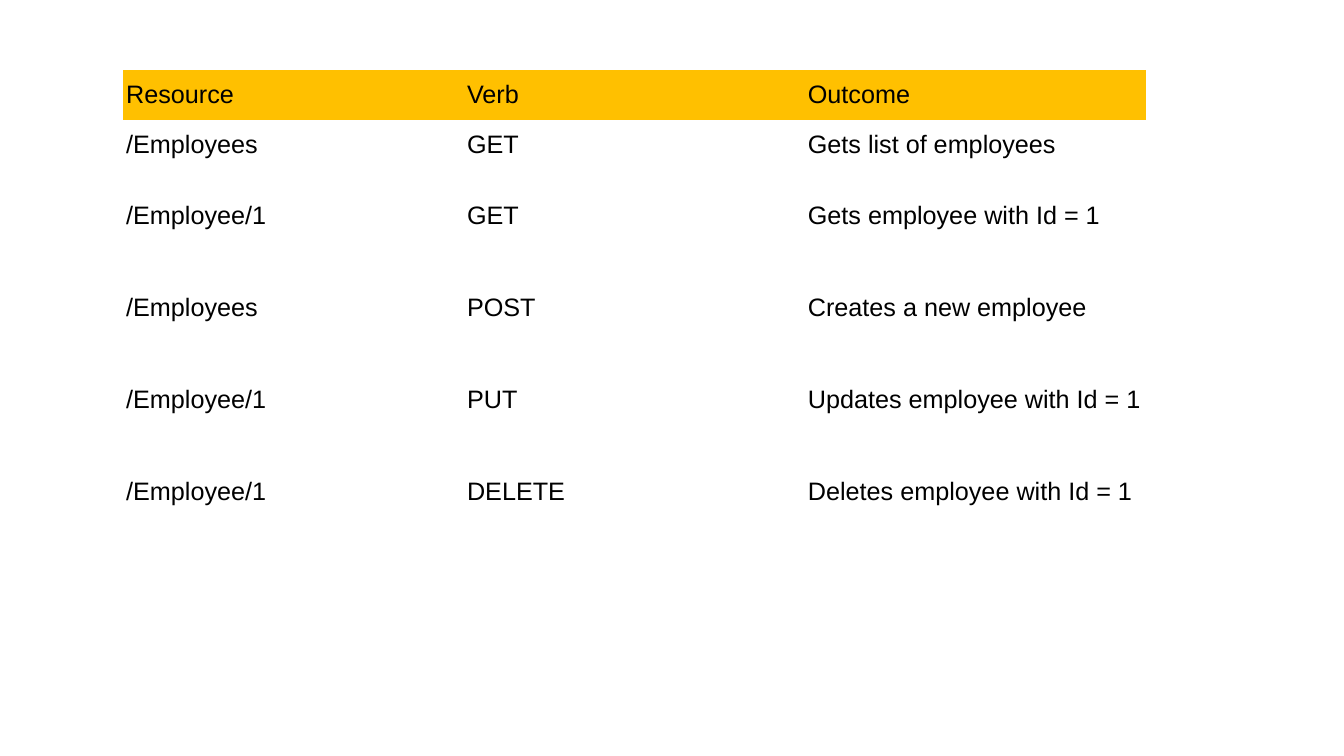
"""Build a slide with a table of REST resources, verbs and outcomes."""
from dataclasses import astuple, dataclass

from pptx import Presentation
from pptx.dml.color import RGBColor
from pptx.enum.text import MSO_ANCHOR as Anchor
from pptx.oxml.ns import qn
from pptx.table import Table, _Cell as Cell
from pptx.util import Cm, Pt

PLAIN = "{2D5ABB26-0587-4C30-8999-92F81FD0307C}"
LEFT, TOP, WIDTH, INSET = 3.1, 1.77, 8.59, 0.08
SHORT, TALL = 1.25, 2.32
GOLD, WHITE, BLACK = "FFC000", "FFFFFF", "000000"


@dataclass(frozen=True)
class Call:
    name: str
    verb: str
    result: str


HEAD = Call("Resource", "Verb", "Outcome")
CALLS = [
    Call("/Employees", "GET", "Gets list of employees"),
    Call("/Employee/1", "GET", "Gets employee with Id = 1"),
    Call("/Employees", "POST", "Creates a new employee"),
    Call("/Employee/1", "PUT", "Updates employee with Id = 1"),
    Call("/Employee/1", "DELETE", "Deletes employee with Id = 1"),
]


def color(code: str) -> RGBColor:
    return RGBColor.from_string(code)


def fill_cell(cell: Cell, text: str, back: str) -> None:
    cell.fill.solid()
    cell.fill.fore_color.rgb = color(back)
    cell.vertical_anchor = Anchor.MIDDLE
    cell.margin_left = cell.margin_right = Cm(INSET)
    cell.margin_top = cell.margin_bottom = Cm(INSET)
    run = cell.text_frame.paragraphs[0].add_run()
    run.text = text
    run.font.name = "Arial"
    run.font.size = Pt(18)
    run.font.color.rgb = color(BLACK)


def fill_row(table: Table, index: int, call: Call, back: str) -> None:
    table.rows[index].height = Cm(SHORT if index < 2 else TALL)
    for cell, text in zip(table.rows[index].cells, astuple(call)):
        fill_cell(cell, text, back)


def main() -> None:
    deck = Presentation()
    deck.slide_width, deck.slide_height = Cm(33.87), Cm(19.05)
    slide = deck.slides.add_slide(deck.slide_layouts[6])
    rows = [HEAD, *CALLS]
    high = 2 * SHORT + (len(rows) - 2) * TALL
    frame = slide.shapes.add_table(
        len(rows), 3, Cm(LEFT), Cm(TOP), Cm(3 * WIDTH), Cm(high))
    table = frame.table
    table.first_row = table.horz_banding = False
    style = next(frame.element.iter(qn("a:tableStyleId")))
    style.text = PLAIN
    for column in table.columns:
        column.width = Cm(WIDTH)
    for index, call in enumerate(rows):
        fill_row(table, index, call, WHITE if index else GOLD)
    deck.save("out.pptx")


if __name__ == "__main__":
    main()
